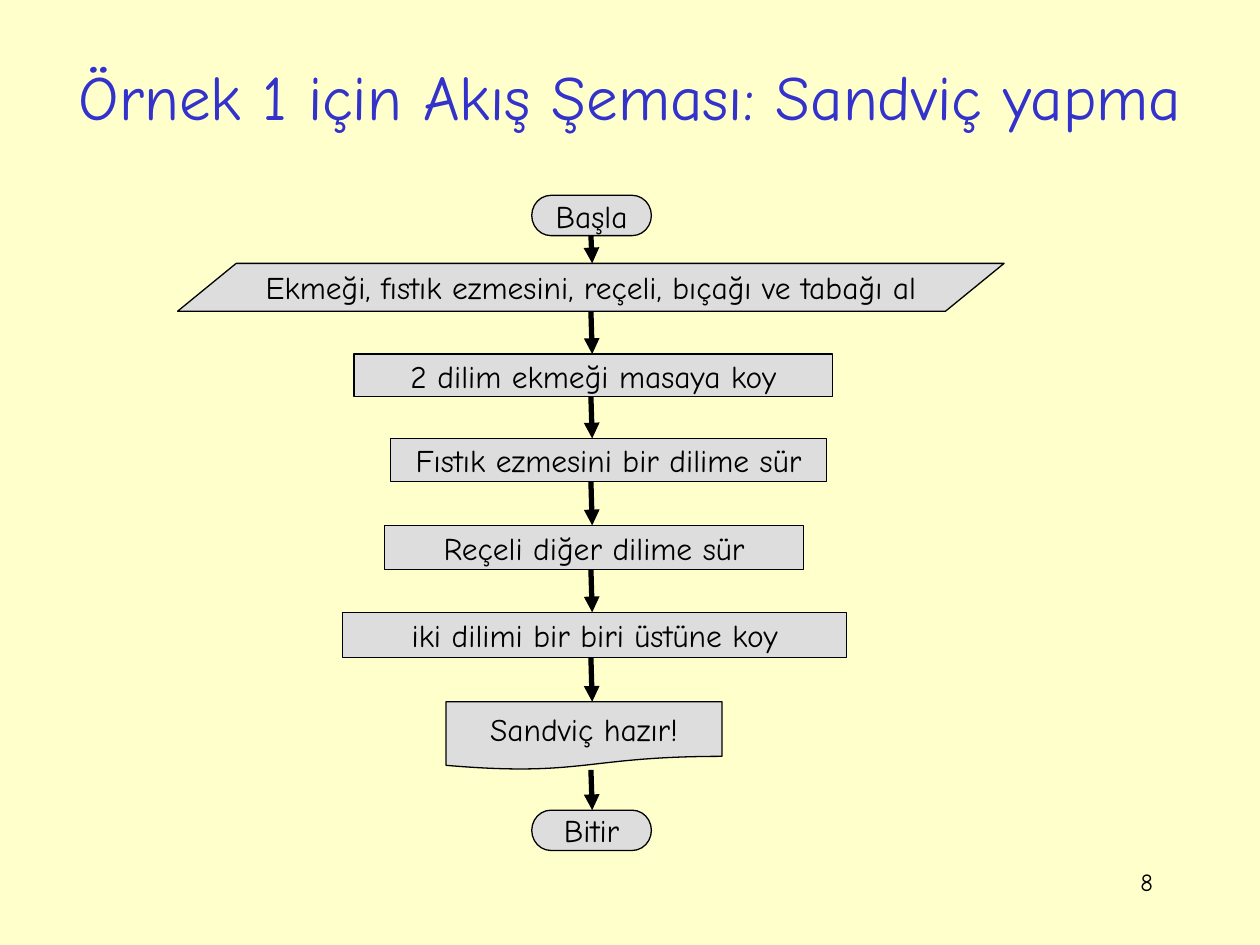
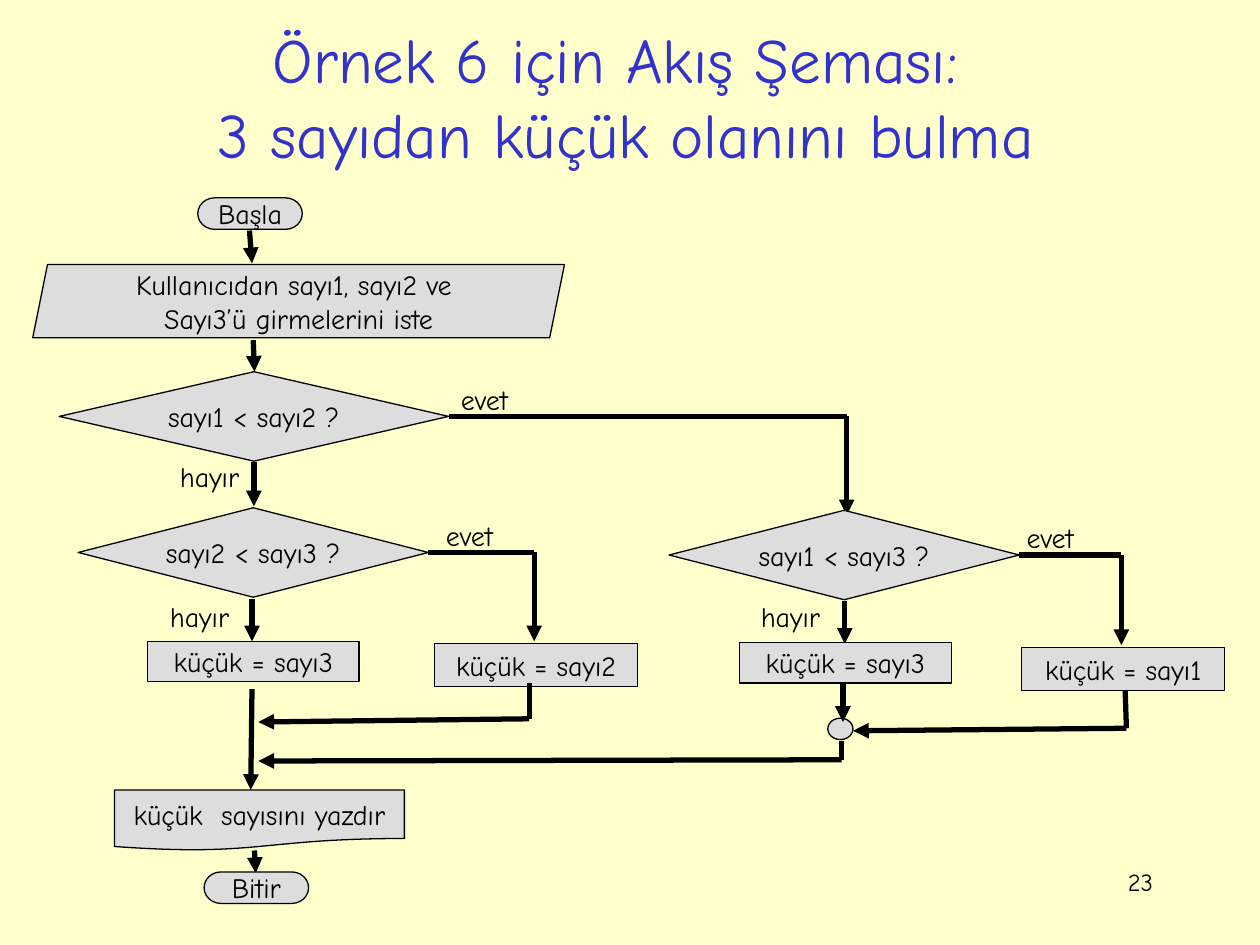
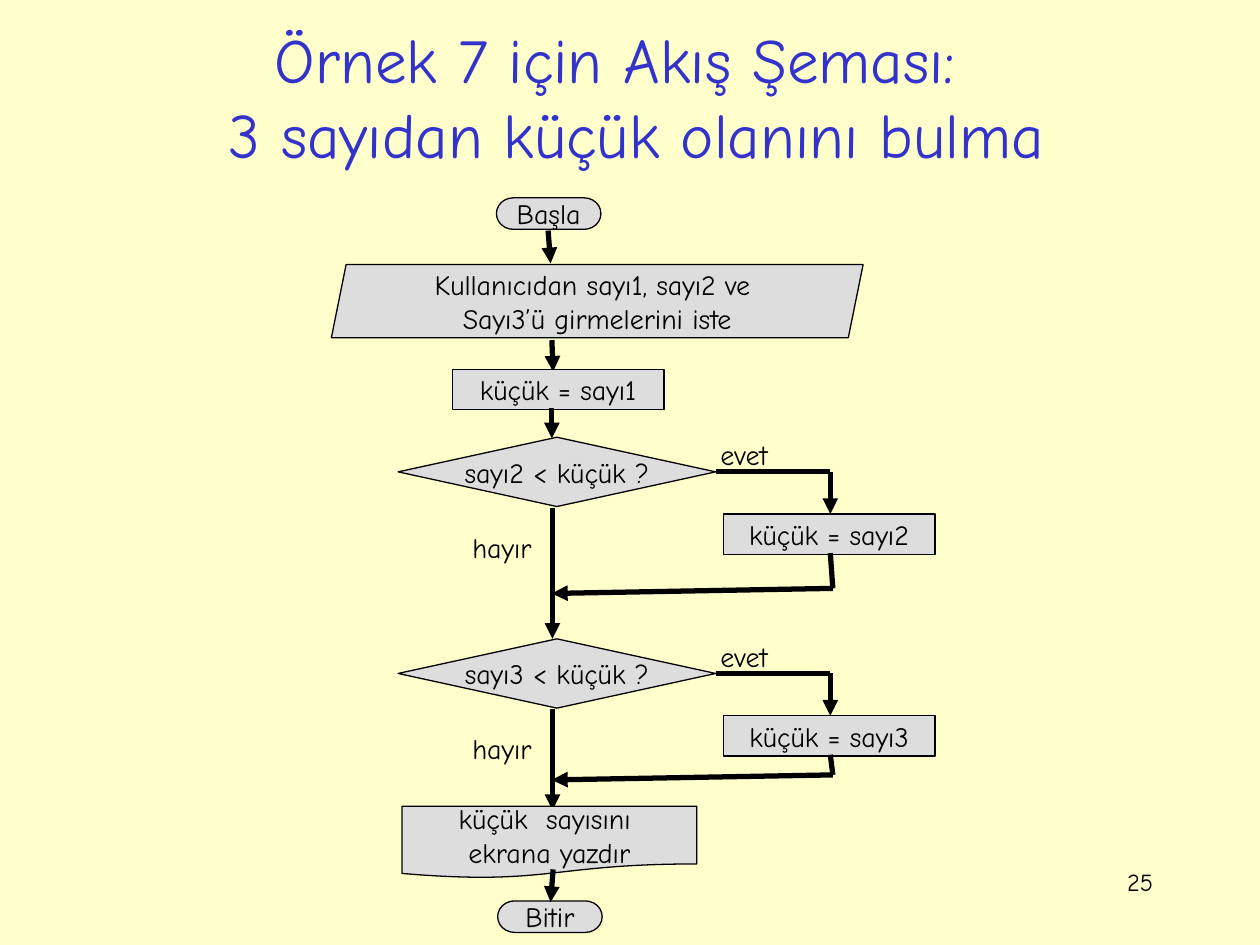
from copy import deepcopy
from dataclasses import dataclass

from lxml import etree
from pptx import Presentation
from pptx.dml.color import RGBColor
from pptx.enum.shapes import MSO_CONNECTOR, MSO_SHAPE
from pptx.enum.text import MSO_ANCHOR, MSO_AUTO_SIZE, PP_ALIGN
from pptx.oxml.ns import qn
from pptx.util import Inches, Pt

PROCESS = MSO_SHAPE.RECTANGLE
DATA = MSO_SHAPE.PARALLELOGRAM
DECISION = MSO_SHAPE.FLOWCHART_DECISION
DOCUMENT = MSO_SHAPE.FLOWCHART_DOCUMENT
TERMINATOR = MSO_SHAPE.FLOWCHART_TERMINATOR
JUNCTION = MSO_SHAPE.OVAL
STRAIGHT = MSO_CONNECTOR.STRAIGHT
LEFT, CENTER, RIGHT = PP_ALIGN.LEFT, PP_ALIGN.CENTER, PP_ALIGN.RIGHT
MIDDLE = MSO_ANCHOR.MIDDLE
NO_AUTOFIT = MSO_AUTO_SIZE.NONE

FONT = "Comic Neue"
CREAM = RGBColor(0xFF, 0xFF, 0xCC)
BLUE = RGBColor(0x33, 0x33, 0xCC)
GREY = RGBColor(0xDD, 0xDD, 0xDD)
BLACK = RGBColor(0, 0, 0)

deck = Presentation()
deck.slide_width, deck.slide_height = Inches(10), Inches(7.5)
COLUMN = deck.slide_width / 100
ROW = deck.slide_height / 75


@dataclass
class Box:
    """An area of the page, in columns and rows."""
    left: float
    top: float
    width: float
    height: float

    @property
    def right(self):
        return self.left + self.width

    @property
    def bottom(self):
        return self.top + self.height

    @property
    def middle(self):
        return self.top + self.height / 2

    def area(self, left, top, width, height):
        return Box(self.left + left, self.top + top, width, height)

    def points(self, *pairs):
        return [(self.left + x, self.top + y) for x, y in pairs]

    def lengths(self):
        return (round(self.left * COLUMN), round(self.top * ROW),
                round(self.width * COLUMN), round(self.height * ROW))


SHORT_TITLE = Box(0, 2.6, 100, 9.9)
TALL_TITLE = Box(1.9, 1.6, 95.5, 12)
NUMBER = Box(71.7, 68.3, 20.8, 5)
CHART = Box(0, 15, 100, 60)


# Shared parts
def write(frame, text, size, color=BLACK, align=CENTER):
    frame.text = text
    for para in frame.paragraphs:
        para.alignment = align
        for span in para.runs:
            span.font.name = FONT
            span.font.size = Pt(size)
            span.font.color.rgb = color
        for line_break in para._p.findall(qn("a:br")):
            line_break.insert(0, deepcopy(para.runs[0].font._element))


def label(page, box, text, size=16, align=LEFT):
    frame = page.shapes.add_textbox(*box.lengths()).text_frame
    frame.word_wrap = True
    write(frame, text, size, align=align)


def node(page, kind, box, text="", size=16, slant=None):
    shape = page.shapes.add_shape(kind, *box.lengths())
    shape.shadow.inherit = False
    shape.fill.solid()
    shape.fill.fore_color.rgb = GREY
    shape.line.color.rgb = BLACK
    shape.line.width = Pt(0.75)
    if slant:
        shape.adjustments[0] = slant
    if text:
        shape.text_frame.word_wrap = False
        shape.text_frame.vertical_anchor = MIDDLE
        write(shape.text_frame, text, size)


def route(page, points):
    """Join the points by lines, with an arrowhead at the last one."""
    for start, end in zip(points, points[1:]):
        line = page.shapes.add_connector(
            STRAIGHT, round(start[0] * COLUMN), round(start[1] * ROW),
            round(end[0] * COLUMN), round(end[1] * ROW))
        line.line.color.rgb = BLACK
        line.line.width = Pt(3)
        properties = line._element.spPr
        etree.SubElement(properties, qn("a:effectLst"))
    etree.SubElement(properties.find(qn("a:ln")), qn("a:tailEnd"), type="triangle")


def new_page(title, box, number):
    page = deck.slides.add_slide(deck.slide_layouts[5])
    heading = page.shapes.title
    heading.left, heading.top, heading.width, heading.height = box.lengths()
    heading.text_frame.auto_size = NO_AUTOFIT
    heading.text_frame.vertical_anchor = MIDDLE
    write(heading.text_frame, title, 36, BLUE)
    label(page, NUMBER, number, 14, RIGHT)
    return page


# Regions of the charts
def opening(page, box):
    """Start, request for the three numbers, and the arrow to what follows."""
    node(page, TERMINATOR, box.area(13.1, 0, 8.3, 2.5), "Başla")
    route(page, box.points((17.2, 2.6), (17.4, 5.2)))
    node(page, DATA, box.area(0, 5.3, 42.2, 5.8),
         "Kullanıcıdan sayı1, sayı2 ve \nSayı3’ü girmelerini iste", slant=0.202)
    route(page, box.points((17.5, 11.3), (17.6, 13.8)))


def branch(page, box, question, yes_end, no_x, no_end, yes_shift, no_shift):
    """Decision with a yes route to the right and a no route downwards."""
    node(page, DECISION, box, question)
    yes_x, yes_bottom = yes_end
    route(page, [(box.right, box.middle), (yes_x, box.middle), (yes_x, yes_bottom)])
    route(page, [(no_x, box.bottom + 0.1), (no_x, no_end)])
    label(page, box.area(box.width + yes_shift, box.height / 2 - 3.2, 6.6, 3.7), "evet")
    label(page, box.area(no_shift[0], box.height + no_shift[1], 7.4, 3.7), "hayır")


def replacement(page, box, name, no_end, return_y):
    """Compare one number with the smallest, and replace it when smaller."""
    branch(page, box.area(0, 0, 25.2, 5.5), f"{name} < küçük ?",
           (box.left + 34.3, box.top + 6.1), box.left + 12.25, box.top + no_end,
           -0.6, (4.9, 1.4))
    node(page, PROCESS, box.area(25.8, 6.1, 16.8, 3.2), f"küçük = {name}")
    route(page, box.points((34.3, 9.2), (34.5, return_y), (12.2, return_y + 0.4)))


# Slide types
def sandwich_chart(page, box):
    steps = [
        (TERMINATOR, (42.2, 0.5, 9.5, 3.2), "Başla"),
        (DATA, (14.1, 5.9, 65.6, 3.8),
         "Ekmeği, fıstık ezmesini, reçeli, bıçağı ve tabağı al"),
        (PROCESS, (28.1, 13.1, 38, 3.4), "2 dilim ekmeği masaya koy"),
        (PROCESS, (31, 19.8, 34.6, 3.4), "Fıstık ezmesini bir dilime sür"),
        (PROCESS, (30.5, 26.7, 33.3, 3.5), "Reçeli diğer dilime sür"),
        (PROCESS, (27.2, 33.6, 40, 3.6), "iki dilimi bir biri üstüne koy"),
        (DOCUMENT, (35.4, 40.7, 21.9, 5.4), "Sandviç hazır!"),
        (TERMINATOR, (42.2, 49.3, 9.5, 3.2), "Bitir"),
    ]
    places = [box.area(*place) for _, place, _ in steps]
    for (kind, _, text), place in zip(steps, places):
        node(page, kind, place, text, 18, slant=1.224 if kind == DATA else None)
    for upper, lower in zip(places, places[1:]):
        route(page, [(box.left + 46.9, upper.bottom), (box.left + 47, lower.top)])


def comparison_chart(page, box):
    opening(page, box.area(2.6, 0.7, 42.2, 14))

    # Three decisions: place, question, yes end, no end, label shifts
    decisions = [
        ((4.7, 14.5, 30.9, 7.1), "sayı1 < sayı2 ?", (67.2, 25.9), (20.15, 25.2),
         0, (8.6, -0.6)),
        ((6.2, 25.3, 27.8, 7.1), "sayı2 < sayı3 ?", (42.4, 35.9), (20, 35.9),
         0.4, (6.3, -0.3)),
        ((53.1, 25.5, 27.8, 7.1), "sayı1 < sayı3 ?", (89, 36.2), (67.05, 36.1),
         -0.4, (6.3, -0.5)),
    ]
    for place, question, yes_end, no_end, yes_shift, no_shift in decisions:
        (no_x, no_bottom), = box.points(no_end)
        branch(page, box.area(*place), question, box.points(yes_end)[0],
               no_x, no_bottom, yes_shift, no_shift)

    # Results
    for place, name in [((11.7, 35.9, 16.8, 3.2), "sayı3"),
                        ((34.5, 36.1, 16.1, 3.4), "sayı2"),
                        ((58.7, 36, 16.8, 3.2), "sayı3"),
                        ((81.1, 36.4, 16.1, 3.4), "sayı1")]:
        node(page, PROCESS, box.area(*place), f"küçük = {name}")

    # Routes back to the main column
    node(page, JUNCTION, box.area(65.7, 42, 2, 1.7))
    for pairs in [[(42, 39.2), (42, 42.05), (20.5, 42.3)],
                  [(66.9, 39.2), (66.9, 42.3)],
                  [(89.3, 39.8), (89.4, 42.8), (67.7, 43)],
                  [(66.8, 43.8), (66.8, 45.3), (20.5, 45.4)],
                  [(20, 39.7), (19.9, 47.7)],
                  [(20.2, 52.5), (20.3, 54.3)]]:
        route(page, box.points(*pairs))

    # Closing
    node(page, DOCUMENT, box.area(9.1, 47.7, 23, 4.8), "küçük  sayısını yazdır")
    node(page, TERMINATOR, box.area(16.2, 54.2, 8.3, 2.5), "Bitir")


def running_minimum_chart(page, box):
    opening(page, box.area(26.3, 0.7, 42.2, 14))
    node(page, PROCESS, box.area(35.9, 14.3, 16.8, 3.2), "küçük = sayı1")
    route(page, box.points((43.8, 17.4), (43.8, 19.8)))
    replacement(page, box.area(31.6, 19.7, 42.6, 16), "sayı2", 16, 12)
    replacement(page, box.area(31.6, 35.7, 42.6, 14), "sayı3", 13.6, 10.8)

    # Closing
    node(page, DOCUMENT, box.area(31.9, 49, 23.4, 5.7),
         "küçük  sayısını \nekrana yazdır")
    node(page, TERMINATOR, box.area(39.5, 56.5, 8.3, 2.5), "Bitir")
    route(page, box.points((43.9, 54), (43.7, 56.6)))


background = deck.slide_master.background.fill
background.solid()
background.fore_color.rgb = CREAM

sandwich_chart(
    new_page("Örnek 1 için Akış Şeması: Sandviç yapma", SHORT_TITLE, "8"), CHART)
comparison_chart(
    new_page("Örnek 6 için Akış Şeması: \v3 sayıdan küçük olanını bulma",
             TALL_TITLE, "23"), CHART)
running_minimum_chart(
    new_page("Örnek 7 için Akış Şeması: \v 3 sayıdan küçük olanını bulma",
             TALL_TITLE, "25"), CHART)

deck.save("out.pptx")
